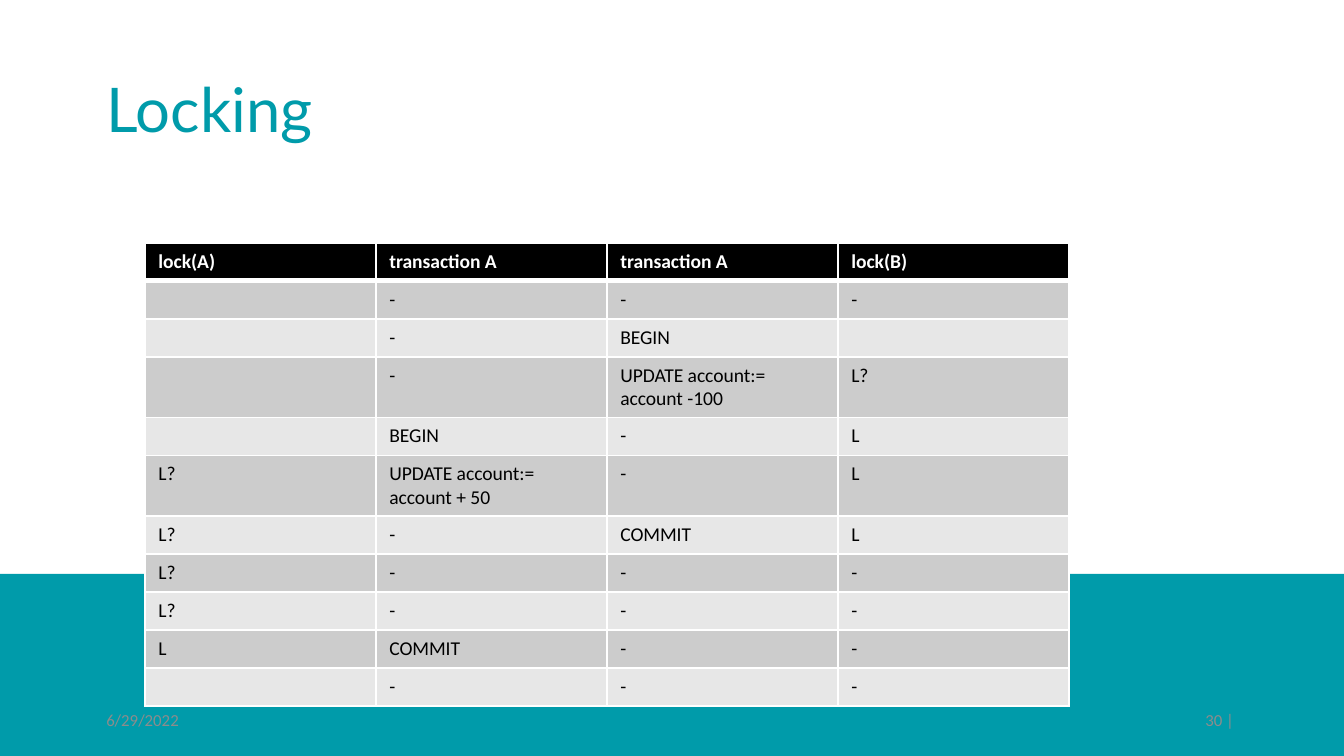
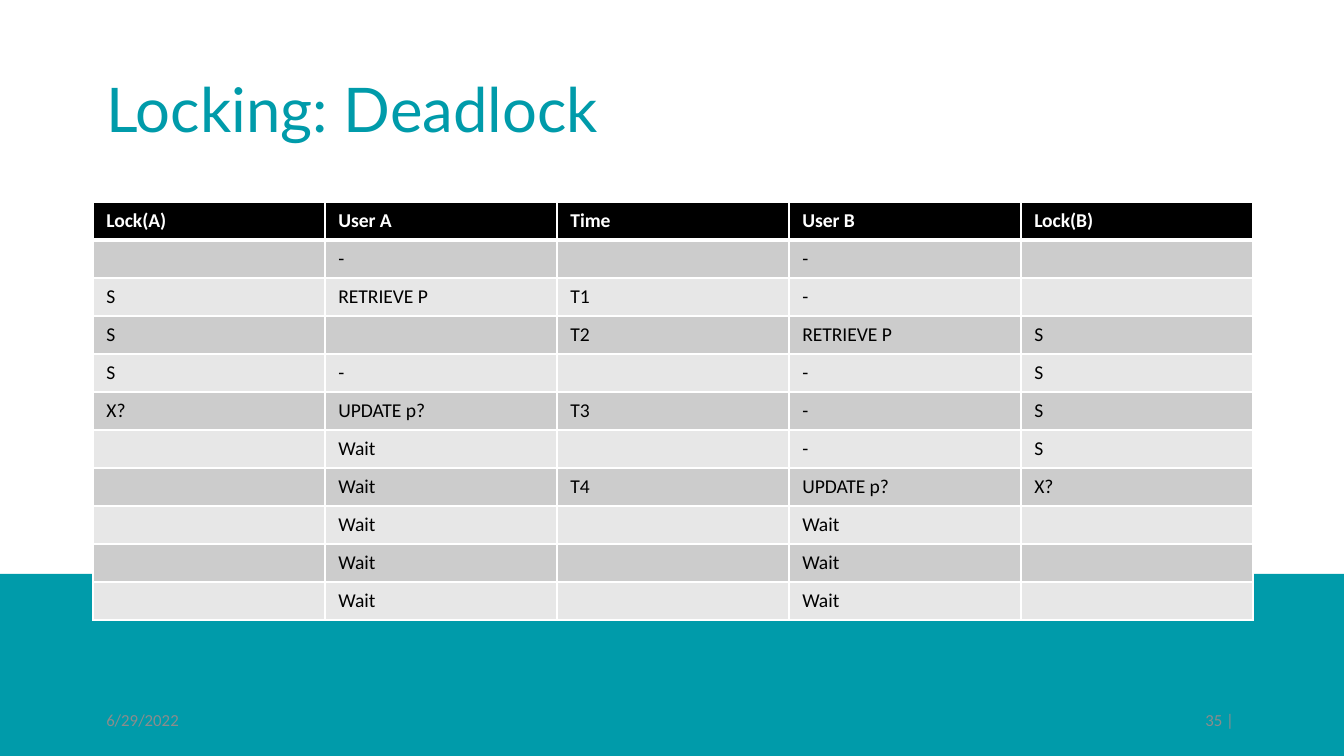
from dataclasses import dataclass

from lxml import etree
from pptx import Presentation
from pptx.dml.color import RGBColor
from pptx.enum.shapes import MSO_SHAPE
from pptx.enum.text import MSO_ANCHOR, MSO_AUTO_SIZE, PP_ALIGN
from pptx.oxml.ns import qn
from pptx.util import Pt

RECT = MSO_SHAPE.RECTANGLE
MIDDLE = MSO_ANCHOR.MIDDLE
NO_FIT = MSO_AUTO_SIZE.NONE
LEFT, RIGHT = PP_ALIGN.LEFT, PP_ALIGN.RIGHT
TITLE_ONLY = 5
WIDE, HIGH = 1344, 756
EDGE, SPAN = 93, 1158
ROW = 38

LOCKS = """lock(A)|transaction A|transaction A|lock(B)
|-|-|-
|-|BEGIN|
|-|UPDATE account:= account -100|L?
|BEGIN|-|L
L?|UPDATE account:= account + 50|-|L
L?|-|COMMIT|L
L?|-|-|-
L?|-|-|-
L|COMMIT|-|-
|-|-|-"""

DEADLOCK = """Lock(A)|User A|Time|User B|Lock(B)
|-||-|
S|RETRIEVE P|T1|-|
S||T2|RETRIEVE P|S
S|-||-|S
X?|UPDATE p?|T3|-|S
|Wait||-|S
|Wait|T4|UPDATE p?|X?
|Wait||Wait|
|Wait||Wait|
|Wait||Wait|"""


@dataclass(frozen=True)
class Theme:
    teal: str = "009BAA"
    white: str = "FFFFFF"
    black: str = "000000"
    grey: str = "8C8C8C"
    dark: str = "CCCCCC"
    light: str = "E7E7E7"
    head: str = "Lato"
    body: str = "Calibri"
    big: float = 33
    cell: float = 10.5
    small: float = 9
    thin: int = 1
    thick: int = 3


def px(count):
    return round(count * 914400 / 134.4)


class Deck:
    """Holds the theme and the current slide, and draws each kind of element."""

    def __init__(self, theme):
        self.theme = theme
        self.file = Presentation()
        self.file.slide_width = px(WIDE)
        self.file.slide_height = px(HIGH)
        self.slide = None

    def page(self, title, number):
        first = self.slide is None
        self.slide = self.file.slides.add_slide(self.file.slide_layouts[TITLE_ONLY])
        if first:
            self.band()
        self.title(title)
        self.note("6/29/2022", EDGE, LEFT)
        self.note(f"{number} | ", 949, RIGHT)

    def band(self):
        band = self.slide.shapes.add_shape(RECT, 0, px(574), px(WIDE), px(HIGH - 574))
        band.shadow.inherit = False
        band.fill.solid()
        band.fill.fore_color.rgb = RGBColor.from_string(self.theme.teal)
        band.line.fill.background()
        self.file.slide_master.shapes._spTree.insert(2, band._element)

    def style(self, para, font, size, color, bold=False):
        para.font.name = font
        para.font.size = Pt(size)
        para.font.bold = bold
        para.font.color.rgb = RGBColor.from_string(color)

    def title(self, text):
        box = self.slide.shapes.title
        box.left, box.top, box.width, box.height = map(px, (EDGE, 40, SPAN, 146))
        frame = box.text_frame
        frame.text = text
        frame.auto_size = NO_FIT
        frame.vertical_anchor = MIDDLE
        para = frame.paragraphs[0]
        para.alignment = LEFT
        para.line_spacing = 0.9
        self.style(para, self.theme.head, self.theme.big, self.theme.teal)

    def note(self, text, left, align):
        box = self.slide.shapes.add_textbox(px(left), px(700), px(302), px(40))
        frame = box.text_frame
        frame.word_wrap = True
        frame.vertical_anchor = MIDDLE
        para = frame.paragraphs[0]
        para.text = text
        para.alignment = align
        self.style(para, self.theme.body, self.theme.small, self.theme.grey)

    def table(self, text, left, top, col, high):
        rows = [line.split("|") for line in text.splitlines()]
        count = len(rows[0])
        frame = self.slide.shapes.add_table(
            len(rows), count, px(left), px(top), px(col * count), px(high))
        grid = frame.table
        for column in grid.columns:
            column.width = px(col)
        for index, row in enumerate(rows):
            grid.rows[index].height = px(ROW)
            for place, words in enumerate(row):
                self.cell(grid.cell(index, place), words, index)
        frame.height = px(high)

    def cell(self, cell, text, row):
        theme = self.theme
        top = row == 0
        para = cell.text_frame.paragraphs[0]
        if text:
            para.text = text
        else:
            etree.SubElement(para._p, qn("a:endParaRPr"), sz=str(int(theme.cell * 100)))
        self.style(para, theme.body, theme.cell, theme.white if top else theme.black, top)
        self.border(cell, "L", theme.thin)
        self.border(cell, "R", theme.thin)
        self.border(cell, "T", theme.thick if row == 1 else theme.thin)
        self.border(cell, "B", theme.thick if top else theme.thin)
        cell.fill.solid()
        fill = theme.black if top else theme.dark if row % 2 else theme.light
        cell.fill.fore_color.rgb = RGBColor.from_string(fill)

    def border(self, cell, side, width):
        props = cell._tc.get_or_add_tcPr()
        line = etree.SubElement(props, qn(f"a:ln{side}"), w=str(Pt(width)))
        fill = etree.SubElement(line, qn("a:solidFill"))
        etree.SubElement(fill, qn("a:srgbClr"), val=self.theme.white)


def main():
    deck = Deck(Theme())
    deck.page("Locking", 30)
    deck.table(LOCKS, 145, 243, 231, 466)
    deck.page("Locking: Deadlock", 35)
    deck.table(DEADLOCK, EDGE, 202, 232, 419)
    deck.file.save("out.pptx")


if __name__ == "__main__":
    main()
